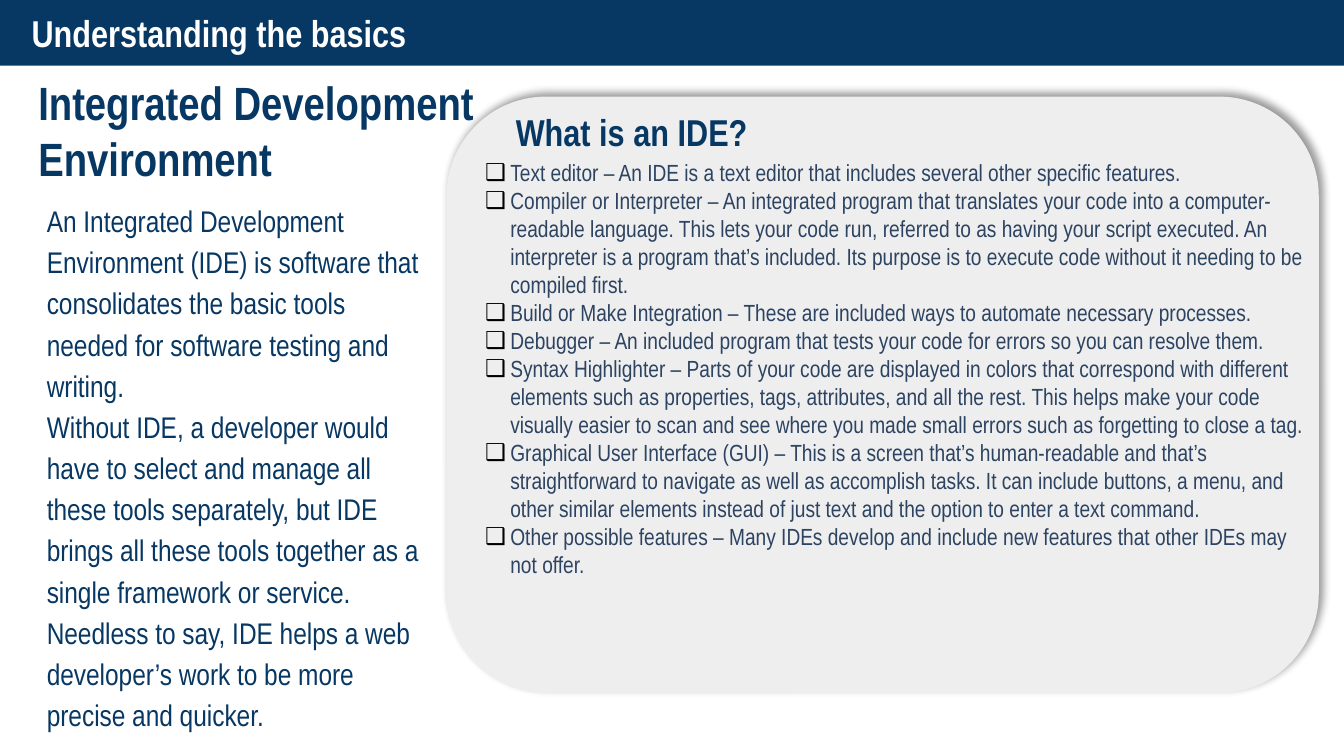
from lxml.etree import SubElement
from pptx import Presentation
from pptx.dml.color import RGBColor
from pptx.enum.shapes import MSO_SHAPE
from pptx.enum.text import MSO_ANCHOR, MSO_AUTO_SIZE, PP_ALIGN
from pptx.oxml.ns import qn
from pptx.util import Emu, Pt

PX = 9525
NAVY = RGBColor(0x07, 0x37, 0x63)
SLATE = RGBColor(0x2C, 0x43, 0x61)
WHITE = RGBColor(0xFF, 0xFF, 0xFF)
BLACK = RGBColor(0x00, 0x00, 0x00)
PALE = RGBColor(0xEE, 0xEE, 0xEE)
FONT = "Arial Narrow"
INDENT = 18

INTRO = [
    "An Integrated Development Environment (IDE) is software that consolidates "
    "the basic tools needed for software testing and writing.",
    "Without IDE, a developer would have to select and manage all these tools "
    "separately, but IDE brings all these tools together as a single framework "
    "or service. Needless to say, IDE helps a web developer’s work to be more "
    "precise and quicker.",
]
FEATURES = [
    "Text editor – An IDE is a text editor that includes several other specific features.",
    "Compiler or Interpreter – An integrated program that translates your code into a "
    "computer-readable language. This lets your code run, referred to as having your "
    "script executed. An interpreter is a program that’s included. Its purpose is to "
    "execute code without it needing to be compiled first.",
    "Build or Make Integration – These are included ways to automate necessary processes.",
    "Debugger – An included program that tests your code for errors so you can resolve them.",
    "Syntax Highlighter – Parts of your code are displayed in colors that correspond with "
    "different elements such as properties, tags, attributes, and all the rest. This helps "
    "make your code visually easier to scan and see where you made small errors such as "
    "forgetting to close a tag.",
    "Graphical User Interface (GUI) – This is a screen that’s human-readable and that’s "
    "straightforward to navigate as well as accomplish tasks. It can include buttons, a "
    "menu, and other similar elements instead of just text and the option to enter a text "
    "command.",
    "Other possible features – Many IDEs develop and include new features that other IDEs "
    "may not offer.",
]


def px(n):
    return Emu(n * PX)


def set_attrs(obj, values):
    for name, value in values.items():
        setattr(obj, name, value)


def place(sp, box):
    set_attrs(sp, dict(zip(("left", "top", "width", "height"), map(px, box))))


def add_panel(s, kind, box, color):
    sp = s.shapes.add_shape(kind, *map(px, box))
    sp.shadow.inherit = False
    sp.fill.solid()
    sp.fill.fore_color.rgb = color
    sp.line.fill.background()
    return sp


def add_shadow(sp):
    effects = sp.element.spPr.find(qn("a:effectLst"))
    shadow = SubElement(effects, qn("a:outerShdw"), blurRad=str(Pt(4)),
                        dist=str(Pt(3)), dir="18900000", algn="bl", rotWithShape="0")
    color = SubElement(shadow, qn("a:srgbClr"), val=str(BLACK))
    SubElement(color, qn("a:alpha"), val="40000")


def add_bullet(p):
    pPr = p._p.get_or_add_pPr()
    pPr.set("marL", str(px(INDENT)))
    pPr.set("indent", str(px(-INDENT)))
    color = SubElement(pPr, qn("a:buClr"))
    SubElement(color, qn("a:srgbClr"), val=str(BLACK))
    SubElement(pPr, qn("a:buChar"), char="❑")


def write(sp, lines, size, color, bold=False, anchor=MSO_ANCHOR.TOP,
          inset=10, spacing=1.0, bullets=False):
    tf = sp.text_frame
    set_attrs(tf, {"word_wrap": True, "auto_size": MSO_AUTO_SIZE.NONE,
                   "vertical_anchor": anchor,
                   "margin_top": px(inset), "margin_bottom": px(inset)})
    for i, line in enumerate(lines):
        p = tf.add_paragraph() if i else tf.paragraphs[0]
        if bullets:
            add_bullet(p)
        set_attrs(p, {"alignment": PP_ALIGN.LEFT, "line_spacing": spacing,
                      "space_before": Pt(0)})
        r = p.add_run()
        r.text = line
        set_attrs(r.font, {"name": FONT, "size": Pt(size), "bold": bold})
        r.font.color.rgb = color


def add_text(s, box, lines, size, **style):
    sp = s.shapes.add_textbox(*map(px, box))
    write(sp, lines, size, NAVY, **style)


def fill_placeholder(sp, box, lines, size, color, **style):
    place(sp, box)
    write(sp, lines, size, color, **style)
    sp.element.getparent().append(sp.element)


def main():
    prs = Presentation()
    set_attrs(prs, {"slide_width": px(960), "slide_height": px(540)})
    s = prs.slides.add_slide(prs.slide_layouts[1])
    title, body = s.placeholders
    heading = {"bold": True, "anchor": MSO_ANCHOR.MIDDLE}

    add_panel(s, MSO_SHAPE.RECTANGLE, (0, -1, 960, 48), NAVY)
    fill_placeholder(title, (13, 0, 916, 47), ["Understanding the basics"],
                     20, WHITE, **heading)
    add_text(s, (24, 131, 295, 270), INTRO, 16, spacing=1.15)
    add_shadow(add_panel(s, MSO_SHAPE.ROUNDED_RECTANGLE, (319, 69, 623, 426), PALE))
    add_text(s, (18, 69, 350, 47), ["Integrated Development Environment"], 25, **heading)
    add_text(s, (359, 80, 401, 28), ["What is an IDE?"], 20, **heading)
    fill_placeholder(body, (337, 108, 605, 353), FEATURES, 12.5, SLATE,
                     inset=5, bullets=True)
    prs.save("out.pptx")


if __name__ == "__main__":
    main()
